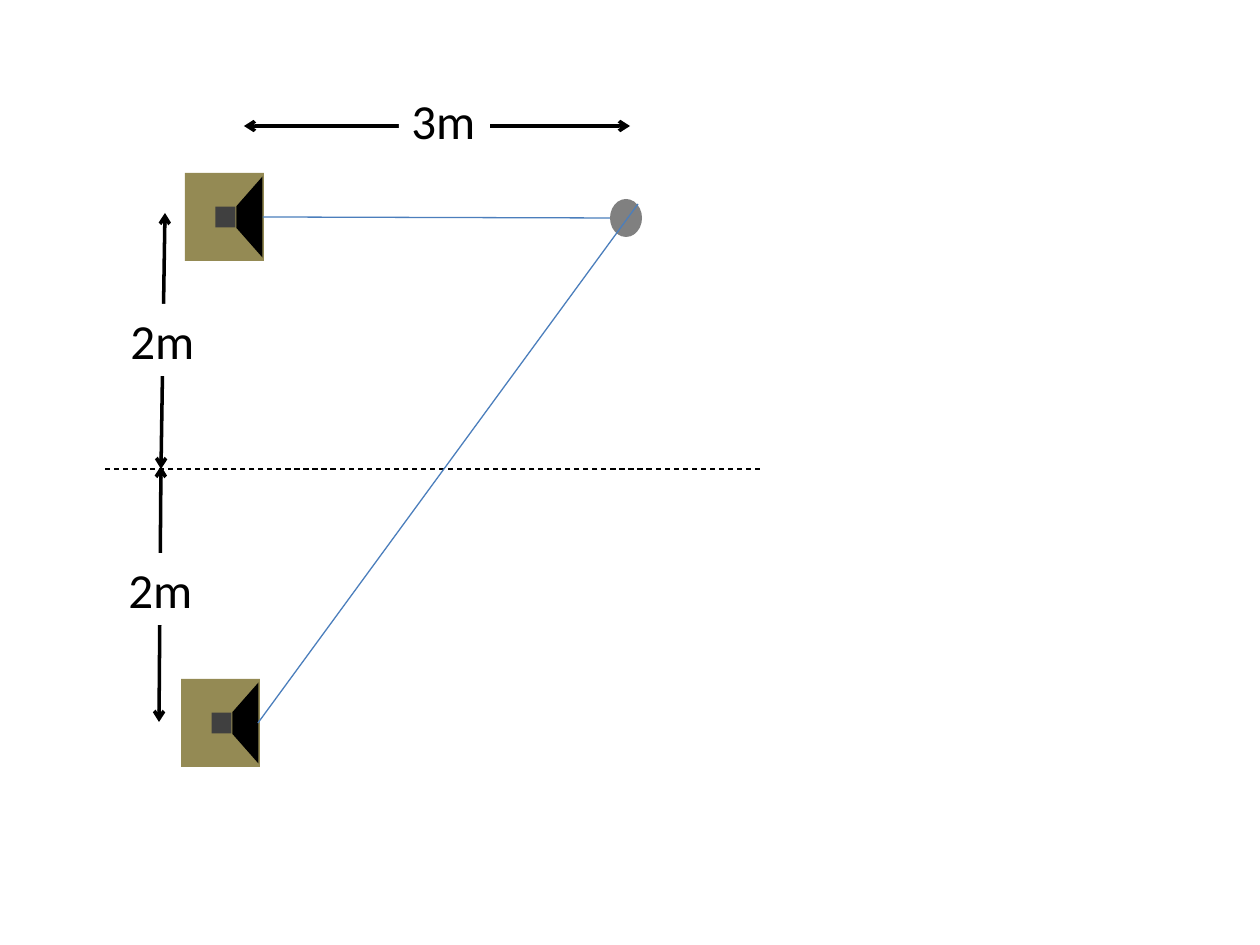
from lxml.etree import SubElement
from pptx import Presentation
from pptx.dml.color import RGBColor
from pptx.enum.dml import MSO_LINE
from pptx.enum.shapes import MSO_CONNECTOR, MSO_SHAPE
from pptx.enum.text import MSO_AUTO_SIZE
from pptx.oxml.ns import qn
from pptx.util import Emu, Pt

SPEAKERS = [(185, 173), (181, 679)]
SPEAKER_PARTS = [
    (MSO_SHAPE.RECTANGLE, (0, 0, 79, 88), "948A54", 0),
    (MSO_SHAPE.TRAPEZOID, (24, 31, 81, 26), "000000", 270),
    (MSO_SHAPE.RECTANGLE, (30, 34, 21, 20), "404040", 270),
]
CONE_INSET = 1.137
AXIS = (760, 469, 102, 469)
HEIGHT_ARROWS = [(161, 469, 165, 213), (159, 722, 161, 466)]
WIDTH_ARROW = (630, 126, 244, 126)
LISTENER = (610, 199, 32, 38)
SOUND_PATHS = [(263, 217, 610, 218), (258, 723, 638, 204)]
HEIGHT_LABELS = [("2m", 118, 304), ("2m", 116, 553)]
WIDTH_LABEL = ("3m", 399, 84)
LABEL_SIZE = (91, 72)


def px(n):
    return Emu(round(n * 914400 / 126))


def rgb(color):
    return RGBColor.from_string(color)


def add_shape(shapes, kind, box, color, rotation=0):
    sp = shapes.add_shape(kind, *map(px, box))
    sp.shadow.inherit = False
    sp.fill.solid()
    sp.fill.fore_color.rgb = rgb(color)
    sp.line.fill.background()
    sp.rotation = rotation
    return sp


def add_speaker(left, top):
    group = s.shapes.add_group_shape()
    for kind, (x, y, w, h), color, rotation in SPEAKER_PARTS:
        sp = add_shape(group.shapes, kind, (left + x, top + y, w, h), color, rotation)
        if kind == MSO_SHAPE.TRAPEZOID:
            sp.adjustments[0] = CONE_INSET


def add_line(ends, color="000000", width=0.75, dashed=False, arrows=False):
    line = s.shapes.add_connector(MSO_CONNECTOR.STRAIGHT, *map(px, ends))
    line.line.color.rgb = rgb(color)
    line.line.width = Pt(width)
    if dashed:
        line.line.dash_style = MSO_LINE.DASH
    if arrows:
        ln = line.line._get_or_add_ln()
        for tag in ("a:headEnd", "a:tailEnd"):
            SubElement(ln, qn(tag), type="arrow")
    SubElement(line._element.spPr, qn("a:effectLst"))


def add_label(text, left, top, size=28, font="Calibri", color="000000"):
    box = s.shapes.add_textbox(*map(px, (left, top, *LABEL_SIZE)))
    box.fill.solid()
    box.fill.fore_color.rgb = rgb("FFFFFF")
    tf = box.text_frame
    tf.word_wrap = False
    tf.auto_size = MSO_AUTO_SIZE.SHAPE_TO_FIT_TEXT
    r = tf.paragraphs[0].add_run()
    r.text = text
    r.font.size = Pt(size)
    r.font.name = font
    r.font.color.rgb = rgb(color)


def build():
    """Draw two speakers, a listener and the distances between them."""
    for corner in SPEAKERS:
        add_speaker(*corner)
    add_line(AXIS, dashed=True)
    for ends in HEIGHT_ARROWS:
        add_line(ends, width=2, arrows=True)
    for label in HEIGHT_LABELS:
        add_label(*label)
    add_shape(s.shapes, MSO_SHAPE.OVAL, LISTENER, "808080")
    for ends in SOUND_PATHS:
        add_line(ends, color="4B7EBC")
    add_line(WIDTH_ARROW, width=2, arrows=True)
    add_label(*WIDTH_LABEL)


prs = Presentation()
prs.slide_width, prs.slide_height = px(1260), px(945)
s = prs.slides.add_slide(prs.slide_layouts[6])
build()
prs.save("out.pptx")
